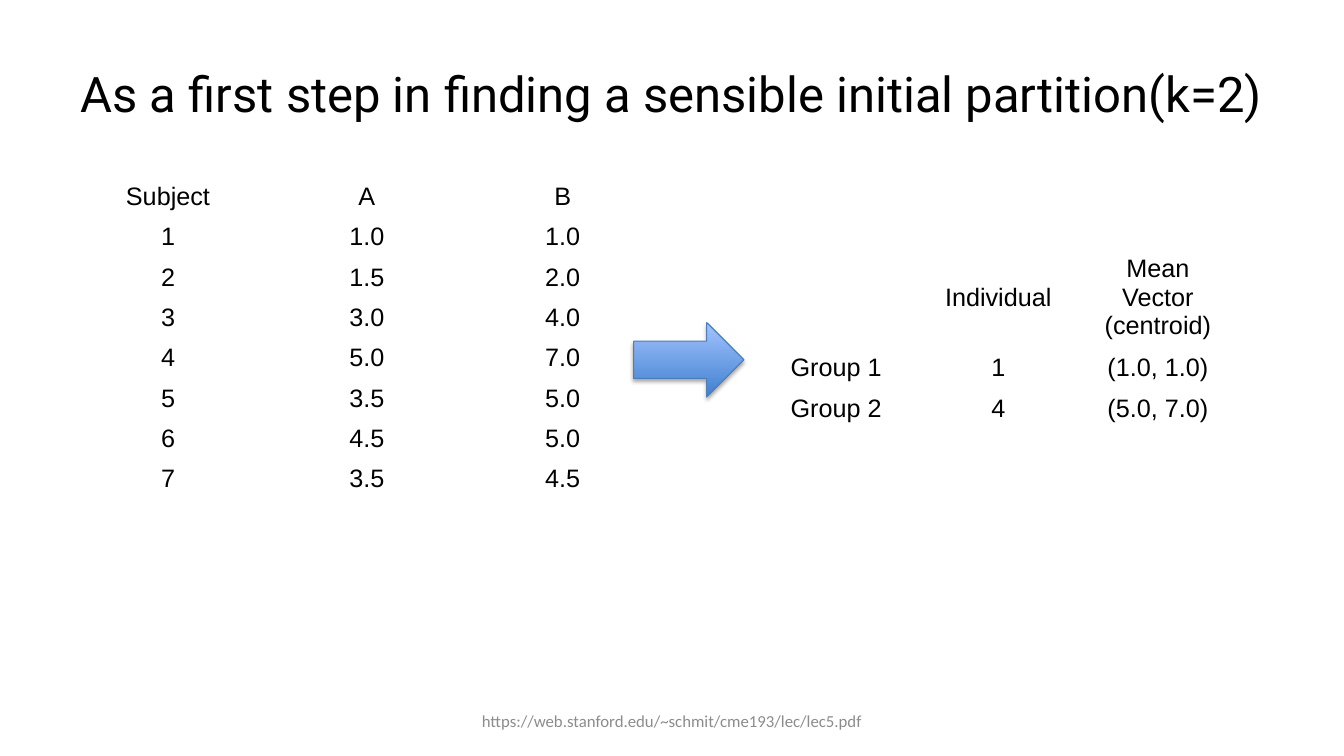
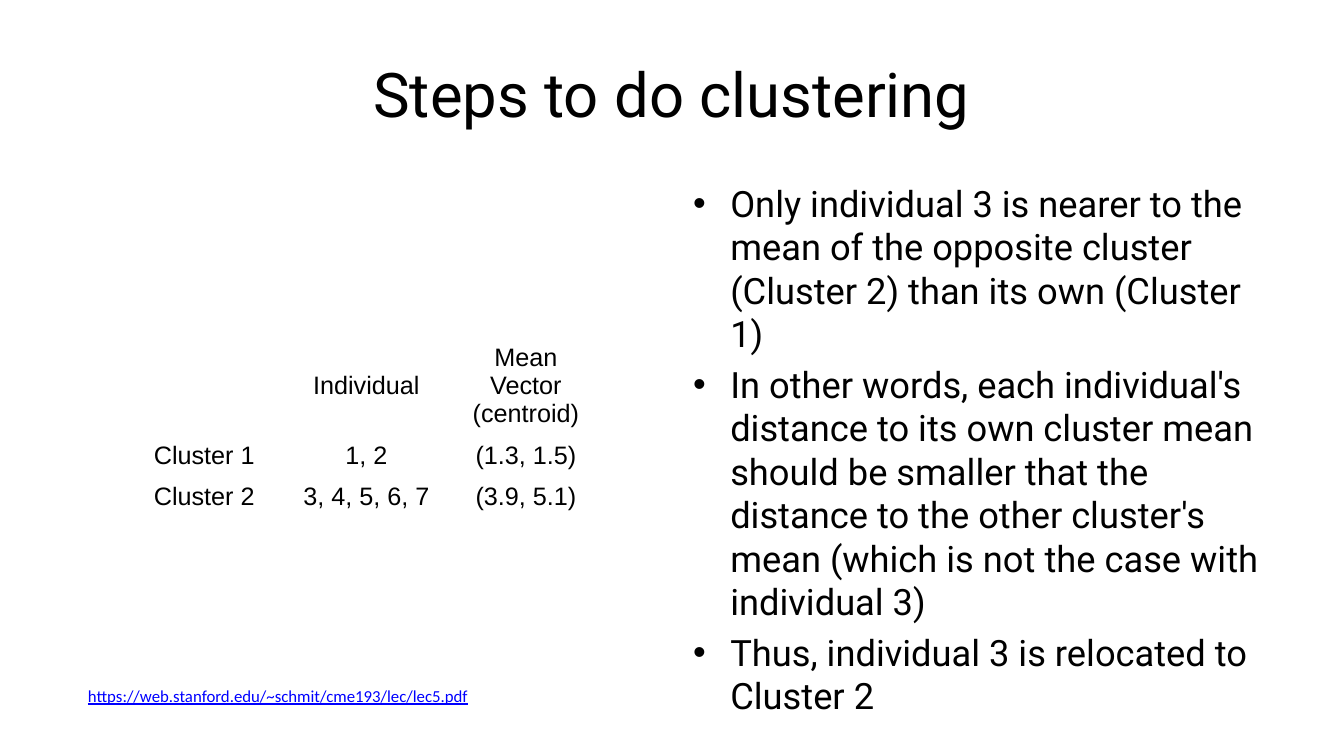
from lxml import etree
from pptx import Presentation
from pptx import util as u
from pptx.dml import color
from pptx.enum import shapes, text
from pptx.oxml import ns

COLORS = {
    "white": "FFFFFF", "black": "000000", "gray": "8C8C8C", "link": "0000FF",
    "arrow_bottom": "3F80CE", "arrow_top": "A4C4FF", "arrow_line": "4B7EBC",
}
FONTS = {
    "title": {"name": "Roboto", "size": 44, "color": "black"},
    "body": {"name": "Roboto", "size": 25.9, "color": "black"},
    "cell": {"name": "Arial", "size": 18, "color": "black", "bold": False},
    "source": {"name": "Calibri", "size": 12, "color": "gray"},
}
CENTER = text.PP_ALIGN.CENTER
MIDDLE = text.MSO_ANCHOR.MIDDLE
SOURCE = "https://web.stanford.edu/~schmit/cme193/lec/lec5.pdf"
CENTROID_HEADER = ["", "Individual", "Mean Vector (centroid)"]
CENTROID_COLUMNS = [117.6, 114, 114]
ROW, TALL_ROW = 27.4, 67.6


def rgb(name):
    return color.RGBColor.from_string(COLORS[name])


def add_xml(parent, tag, **attributes):
    return etree.SubElement(parent, ns.qn(tag), attributes)


class Deck:
    """Holds the style and the current slide."""

    def __init__(self):
        self.presentation = Presentation()
        self.presentation.slide_width = u.Pt(960)
        self.presentation.slide_height = u.Pt(540)
        self.slide = None

    def new_slide(self, title, **changes):
        layout = self.presentation.slide_layouts[6]
        self.slide = self.presentation.slides.add_slide(layout)
        self.text_box((48, 21.6, 864, 90), title, "title", **changes)

    def style(self, font, kind, **changes):
        for key, value in {**FONTS[kind], **changes}.items():
            if key == "color":
                font.color.rgb = rgb(value)
            else:
                setattr(font, key, u.Pt(value) if key == "size" else value)

    def frame(self, box):
        shape = self.slide.shapes.add_textbox(*map(u.Pt, box))
        shape.text_frame.word_wrap = True
        return shape.text_frame

    def text_box(self, box, words, kind, **changes):
        frame = self.frame(box)
        frame.vertical_anchor = MIDDLE
        paragraph = frame.paragraphs[0]
        paragraph.text = words
        paragraph.alignment = CENTER
        self.style(paragraph.font, kind, **changes)

    def bullets(self, box, items, indent=26.6):
        frame = self.frame(box)
        for index, words in enumerate(items):
            paragraph = frame.add_paragraph() if index else frame.paragraphs[0]
            paragraph.text = words
            paragraph.line_spacing = u.Pt(31)
            paragraph.space_before = u.Pt(5.2 if index else 0)
            properties = paragraph._p.get_or_add_pPr()
            properties.set("marL", str(u.Pt(indent)))
            properties.set("indent", str(-u.Pt(indent)))
            add_xml(properties, "a:buFont", typeface="Arial")
            add_xml(properties, "a:buChar", char="•")
            self.style(paragraph.font, "body")

    def table(self, left, top, widths, heights, rows, side_margin=7.2):
        table = self.slide.shapes.add_table(
            len(rows), len(widths), u.Pt(left), u.Pt(top),
            u.Pt(sum(widths)), u.Pt(sum(heights))).table
        table.first_row = table.horz_banding = False
        for column, width in zip(table.columns, widths):
            column.width = u.Pt(width)
        for row, height, values in zip(table.rows, heights, rows):
            row.height = u.Pt(height)
            for cell, words in zip(row.cells, values):
                cell.fill.solid()
                cell.fill.fore_color.rgb = rgb("white")
                cell.vertical_anchor = MIDDLE
                cell.margin_left = cell.margin_right = u.Pt(side_margin)
                paragraph = cell.text_frame.paragraphs[0]
                paragraph.text = words
                paragraph.alignment = CENTER
                self.style(paragraph.font, "cell")

    def centroid_table(self, left, top, rows):
        self.table(left, top, CENTROID_COLUMNS, [TALL_ROW, ROW, ROW],
                   [CENTROID_HEADER, *rows])

    def arrow(self, box):
        shape = self.slide.shapes.add_shape(
            shapes.MSO_SHAPE.RIGHT_ARROW, *map(u.Pt, box))
        shape.fill.gradient()
        shape.fill.gradient_angle = 90
        for stop, name in zip(shape.fill.gradient_stops,
                              ("arrow_bottom", "arrow_top")):
            stop.color.rgb = rgb(name)
        shape.line.color.rgb = rgb("arrow_line")
        shape.line.width = u.Pt(0.75)
        # Soft shadow straight below
        shape.shadow.inherit = False
        effects = shape._element.spPr.find(ns.qn("a:effectLst"))
        shadow = add_xml(effects, "a:outerShdw", blurRad=str(u.Pt(3.1)),
                         dist=str(u.Pt(1.8)), dir="5400000", rotWithShape="0")
        shade = add_xml(shadow, "a:srgbClr", val=COLORS["black"])
        add_xml(shade, "a:alpha", val="35000")


def main():
    deck = Deck()

    # Initial partition
    deck.new_slide("As a first step in finding a sensible initial partition(k=2)",
                   size=35)
    a_values = ["1.0", "1.5", "3.0", "5.0", "3.5", "4.5", "3.5"]
    b_values = ["1.0", "2.0", "4.0", "7.0", "5.0", "5.0", "4.5"]
    subjects = [[str(number), a, b] for number, (a, b)
                in enumerate(zip(a_values, b_values), start=1)]
    deck.table(48, 126, [144, 140, 140], [ROW] * 8,
               [["Subject", "A", "B"], *subjects], side_margin=8.6)
    deck.centroid_table(538.5, 176.4, [["Group 1", "1", "(1.0, 1.0)"],
                                       ["Group 2", "4", "(5.0, 7.0)"]])
    deck.text_box((328, 500.5, 304, 28.8), SOURCE, "source")
    deck.arrow((452.6, 230.4, 78.8, 53.2))

    # Clustering steps
    deck.new_slide("Steps to do clustering")
    deck.centroid_table(87.1, 239.4, [["Cluster 1", "1, 2", "(1.3, 1.5)"],
                                      ["Cluster 2", "3, 4, 5, 6, 7", "(3.9, 5.1)"]])
    deck.bullets((488, 126, 424, 356.4), [
        "Only individual 3 is nearer to the mean of the opposite cluster "
        "(Cluster 2) than its own (Cluster 1)",
        "In other words, each individual's distance to its own cluster mean "
        "should be smaller that the distance to the other cluster's mean "
        "(which is not the case with individual 3)",
        "Thus, individual 3 is relocated to Cluster 2",
    ])
    deck.text_box((46.7, 482.4, 304, 28.8), SOURCE, "source",
                  color="link", underline=True)

    deck.presentation.save("out.pptx")


if __name__ == "__main__":
    main()
